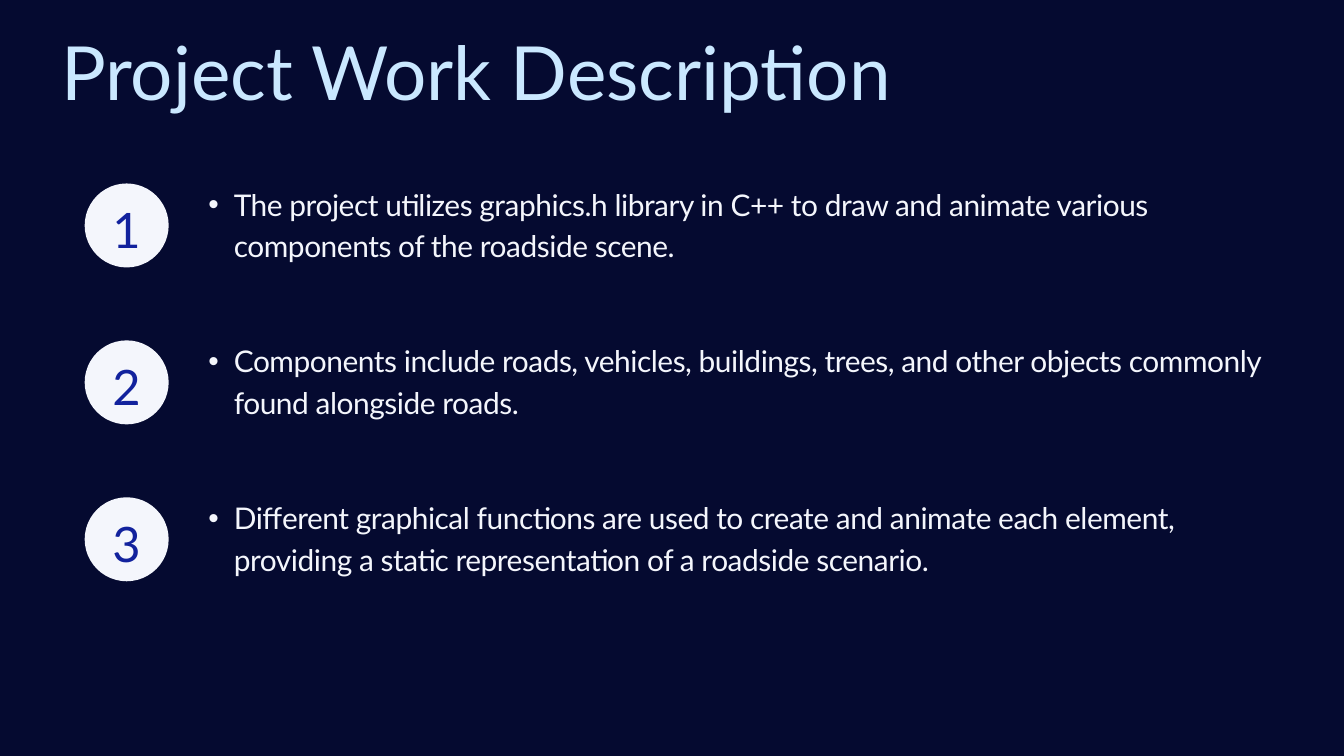
"""Builds the project work description slide with three numbered points."""
from pptx import Presentation
from pptx.dml.color import RGBColor
from pptx.enum.shapes import MSO_SHAPE as Shape
from pptx.enum.text import MSO_AUTO_SIZE as AutoSize, PP_ALIGN as Align
from pptx.oxml.ns import qn
from pptx.util import Inches, Pt
from lxml.etree import SubElement

TITLE = "Project Work Description"
POINTS = [
    "The project utilizes graphics.h library in C++ to draw and animate various "
    "components of the roadside scene.",
    "Components include roads, vehicles, buildings, trees, and other objects "
    "commonly found alongside roads.",
    "Different graphical functions are used to create and animate each element, "
    "providing a static representation of a roadside scenario.",
]

NAVY = RGBColor(0x05, 0x0A, 0x30)
SKY = RGBColor(0xCA, 0xE8, 0xFF)
WHITE = RGBColor(0xF4, 0xF6, 0xFC)
BLUE = RGBColor(0x12, 0x22, 0x9D)
FONT = "Lato"

WIDTH, HEIGHT = 20, 11.25
BADGE_LEFT, BADGE_SIZE = 1.26, 1.25
POINT_LEFT, POINT_WIDTH = 2.72, 16.16
FIRST_ROW, ROW_PITCH = 2.73, 2.335
HANG = 0.38


def add_text(slide, text, box, size, leading, color, spacing=0, align=None, bullet=False):
    frame = slide.shapes.add_textbox(*map(Inches, box)).text_frame
    frame.margin_left = frame.margin_right = frame.margin_top = frame.margin_bottom = 0
    frame.word_wrap = True
    frame.auto_size = AutoSize.SHAPE_TO_FIT_TEXT
    paragraph = frame.paragraphs[0]
    paragraph.line_spacing = Pt(leading)
    if align is not None:
        paragraph.alignment = align
    if bullet:
        paragraph.level = 1
        properties = paragraph._p.get_or_add_pPr()
        properties.set("marL", str(Inches(2 * HANG)))
        properties.set("indent", str(-Inches(HANG)))
        SubElement(properties, qn("a:buFont"), typeface="Arial")
        SubElement(properties, qn("a:buChar"), char="•")
    run = paragraph.add_run()
    run.text = text
    run.font.name = FONT
    run.font.size = Pt(size)
    run.font.color.rgb = color
    if spacing:
        run._r.get_or_add_rPr().set("spc", str(round(spacing * 100)))


def add_badge(slide, number, top):
    circle = slide.shapes.add_shape(
        Shape.OVAL, *map(Inches, (BADGE_LEFT, top, BADGE_SIZE, BADGE_SIZE)))
    circle.shadow.inherit = False
    circle.fill.solid()
    circle.fill.fore_color.rgb = WHITE
    circle.line.fill.background()
    add_text(slide, str(number), (BADGE_LEFT, top + 0.1, BADGE_SIZE, 0.95),
             52.3, 73.2, BLUE, -0.8, Align.CENTER)


def main():
    deck = Presentation()
    deck.slide_width, deck.slide_height = Inches(WIDTH), Inches(HEIGHT)
    slide = deck.slides.add_slide(deck.slide_layouts[6])
    slide.background.fill.solid()
    slide.background.fill.fore_color.rgb = NAVY

    add_text(slide, TITLE, (0.91, 0.64, 13.56, 1.15), 80, 77.6, SKY)
    for row, point in enumerate(POINTS):
        top = FIRST_ROW + row * ROW_PITCH
        add_badge(slide, row + 1, top)
        add_text(slide, point, (POINT_LEFT, top - 0.05, POINT_WIDTH, 1.81),
                 32, 44.9, WHITE, -0.5, bullet=True)
    deck.save("out.pptx")


if __name__ == "__main__":
    main()
